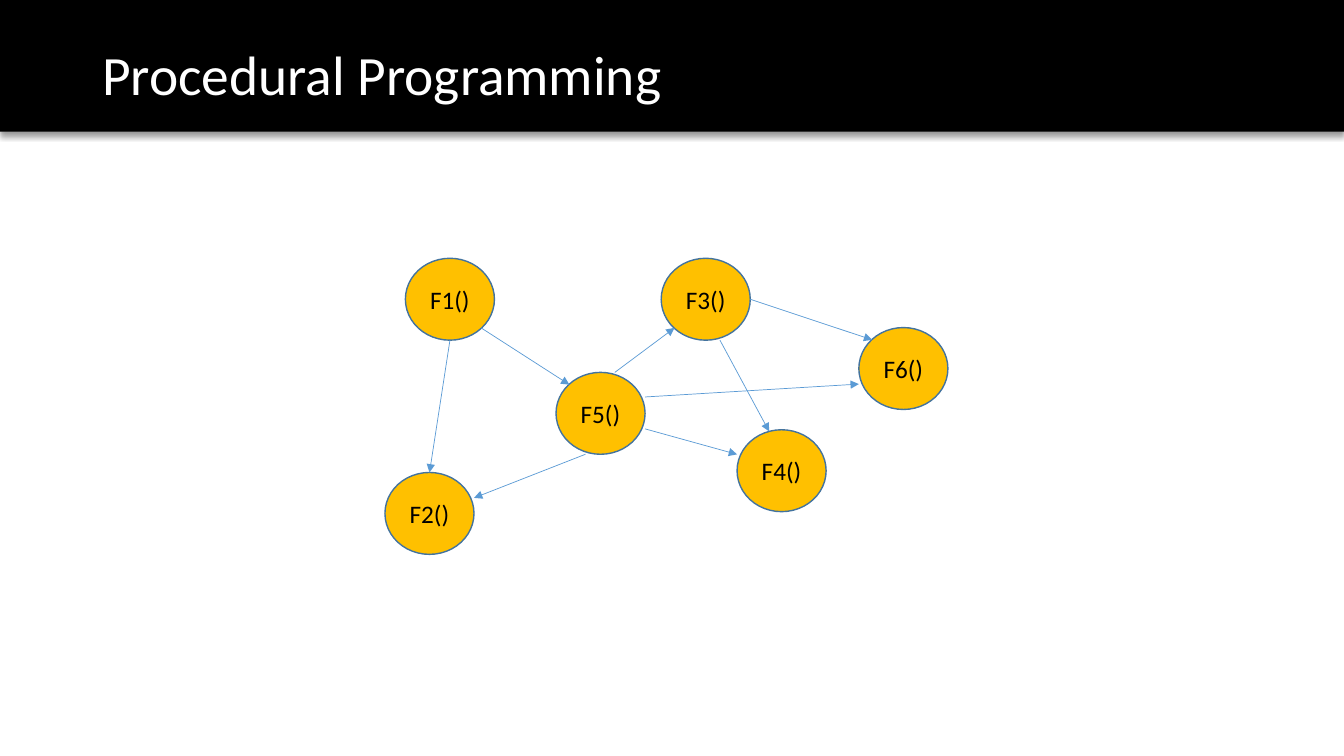
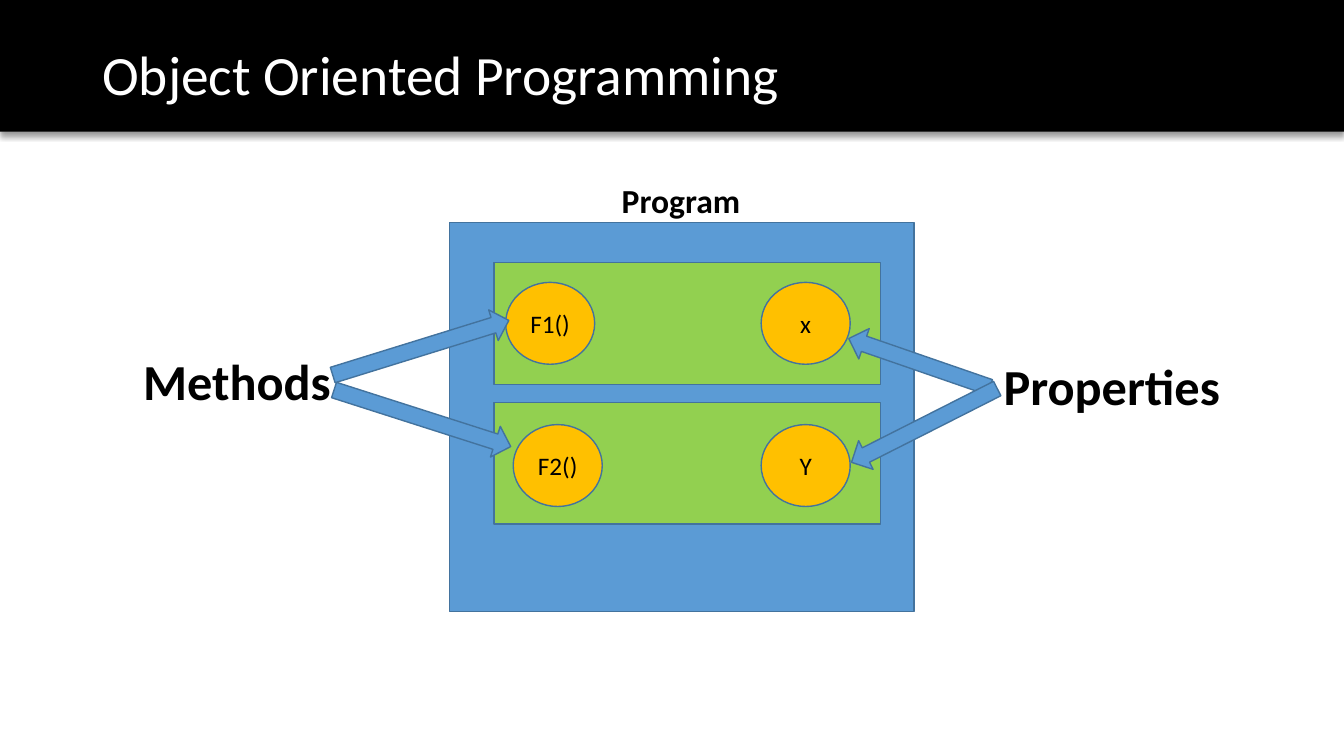
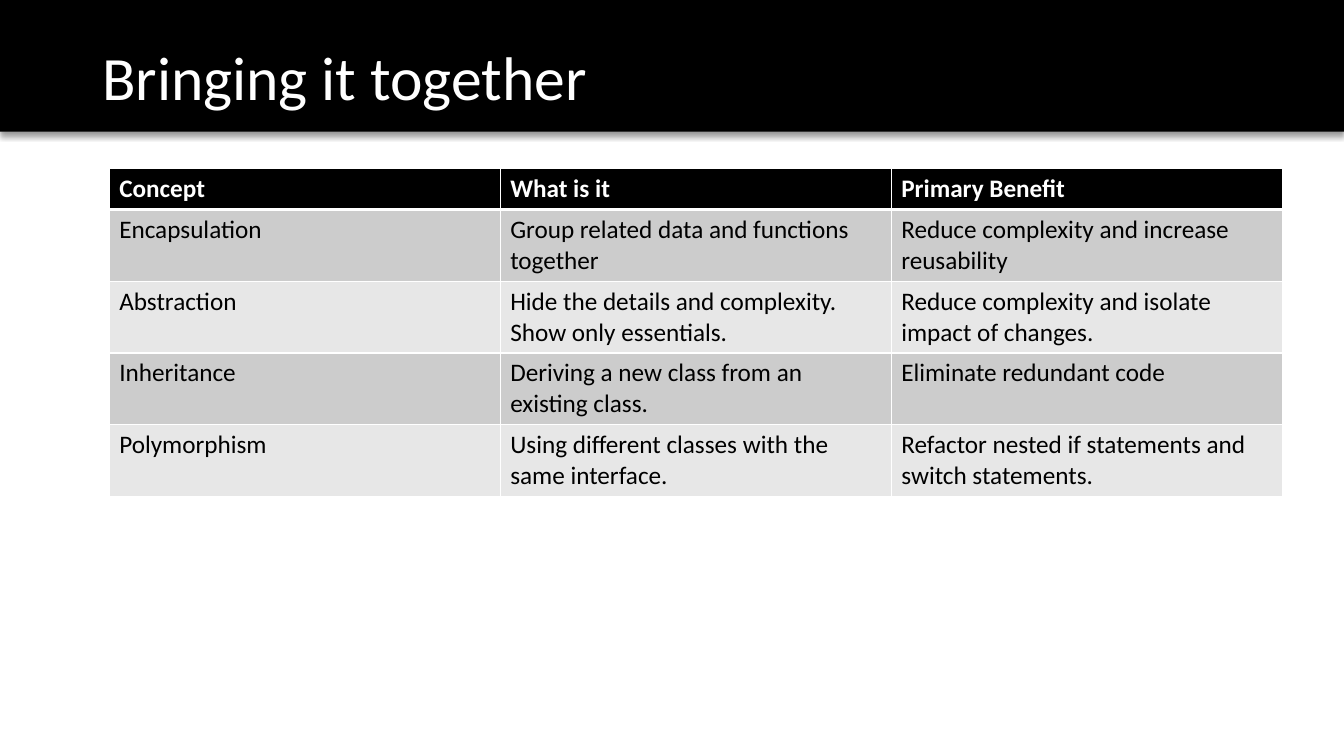
import math
from lxml import etree
from pptx import Presentation
from pptx import util as u
from pptx.dml.color import RGBColor
from pptx.enum import shapes, text
from pptx.oxml import ns

Pt = u.Pt
FONT = "Calibri"
HUE = {
    "black": "000000", "white": "FFFFFF", "gold": "FFC000", "green": "92D050",
    "blue": "5B9BD5", "edge": "43739E", "dark": "CCCCCC", "light": "E7E7E7",
}
WIDE, HIGH = 960, 540
DISC_W, DISC_H = 63.6, 58.5


def rgb(name):
    return RGBColor.from_string(HUE[name])


def node(up, tag, **attrs):
    return etree.SubElement(up, ns.qn(tag), attrs)


def tint(up, name):
    return node(node(up, "a:solidFill"), "a:srgbClr", val=HUE[name])


# Text
def write(frame, words, size, hue="black", bold=False, align=None):
    para = frame.paragraphs[0]
    para.alignment = align
    run = para.add_run()
    run.text = words
    font = run.font
    font.name, font.size, font.bold = FONT, Pt(size), bold
    font.color.rgb = rgb(hue)
    return para


def label(slide, x, y, w, h, words, size):
    frame = slide.shapes.add_textbox(Pt(x), Pt(y), Pt(w), Pt(h)).text_frame
    frame.word_wrap = False
    frame.auto_size = text.MSO_AUTO_SIZE.SHAPE_TO_FIT_TEXT
    write(frame, words, size, bold=True)


# Shapes
def block(slide, kind, x, y, w, h, fill, edge="edge"):
    shape = slide.shapes.add_shape(kind, Pt(x), Pt(y), Pt(w), Pt(h))
    shape.shadow.inherit = False
    shape.fill.solid()
    shape.fill.fore_color.rgb = rgb(fill)
    if edge:
        shape.line.color.rgb = rgb(edge)
        shape.line.width = Pt(1)
    else:
        shape.line.fill.background()
    return shape


def box(slide, x, y, w, h, fill, edge="edge"):
    return block(slide, shapes.MSO_SHAPE.RECTANGLE, x, y, w, h, fill, edge)


def disc(slide, x, y, words):
    shape = block(slide, shapes.MSO_SHAPE.OVAL, x, y, DISC_W, DISC_H, "gold")
    frame = shape.text_frame
    frame.word_wrap = False
    frame.vertical_anchor = text.MSO_ANCHOR.MIDDLE
    write(frame, words, 18, align=text.PP_ALIGN.CENTER)


def arrow(slide, tail, tip, thick=23):
    dx, dy = tip[0] - tail[0], tip[1] - tail[1]
    size = math.hypot(dx, dy)
    x = (tail[0] + tip[0] - size) / 2
    y = (tail[1] + tip[1] - thick) / 2
    shape = block(slide, shapes.MSO_SHAPE.RIGHT_ARROW, x, y, size, thick, "blue")
    shape.rotation = math.degrees(math.atan2(dy, dx)) % 360


def link(slide, start, end):
    line = slide.shapes.add_connector(
        shapes.MSO_CONNECTOR.STRAIGHT, *(Pt(v) for v in (*start, *end)))
    line.line.color.rgb = rgb("blue")
    line.line.width = Pt(0.5)
    node(line.line._get_or_add_ln(), "a:tailEnd", type="triangle")
    node(line._element.spPr, "a:effectLst")


# Shared band and title
def page(deck, title, size=39.6):
    slide = deck.slides.add_slide(deck.slide_layouts[6])
    band = box(slide, 0, 0, WIDE, 94, "black", None)
    glow = band._element.spPr.find(ns.qn("a:effectLst"))
    shade = node(glow, "a:outerShdw", blurRad=str(Pt(4)), dist=str(Pt(3)),
                 dir="5400000", algn="t", rotWithShape="0")
    hue = node(shade, "a:srgbClr", val=HUE["black"])
    node(hue, "a:alpha", val="40000")
    frame = slide.shapes.add_textbox(Pt(66), Pt(28.8), Pt(828), Pt(65.5)).text_frame
    frame.word_wrap = True
    frame.margin_top = Pt(5)
    write(frame, title, size, "white").line_spacing = 0.9
    return slide


# Table
def rule(cell, side, width):
    line = node(cell._tc.get_or_add_tcPr(), "a:" + side, w=str(Pt(width)))
    tint(line, "white")


def grid(slide, x, y, col, heights, rows):
    table = slide.shapes.add_table(
        len(rows), len(rows[0]), Pt(x), Pt(y),
        Pt(col * len(rows[0])), Pt(sum(heights))).table
    for column in table.columns:
        column.width = Pt(col)
    for i, row in enumerate(rows):
        table.rows[i].height = Pt(heights[i])
        head = i == 0
        fill = "black" if head else "dark" if i % 2 else "light"
        for j, words in enumerate(row):
            cell = table.cell(i, j)
            for side in ("lnL", "lnR", "lnT", "lnB"):
                thick = (head and side == "lnB") or (i == 1 and side == "lnT")
                rule(cell, side, 3 if thick else 1)
            cell.fill.solid()
            cell.fill.fore_color.rgb = rgb(fill)
            write(cell.text_frame, words, 18, "white" if head else "black", head)


# Slides
def calls(deck):
    slide = page(deck, "Procedural Programming")
    spots = {
        "F1": (289.6, 184.5), "F2": (275, 337.5), "F3": (472.3, 184.5),
        "F4": (526.5, 307), "F5": (397.2, 266), "F6": (613.5, 234),
    }
    for name, (x, y) in spots.items():
        disc(slide, x, y, name + "()")

    def at(name, across, down):
        x, y = spots[name]
        return x + across * DISC_W, y + down * DISC_H

    # Each end: disc, then share of its width and height
    for start, end in (
        (("F1", 0.5, 1), ("F2", 0.5, 0)),
        (("F1", 0.85, 0.85), ("F5", 0.15, 0.15)),
        (("F5", 0.33, 1), ("F2", 1, 0.31)),
        (("F5", 1, 0.69), ("F4", 0, 0.3)),
        (("F5", 0.66, 0), ("F3", 0.15, 0.85)),
        (("F5", 1, 0.3), ("F6", 0, 0.69)),
        (("F3", 0.66, 1), ("F4", 0.36, 0.02)),
        (("F3", 1, 0.5), ("F6", 0.15, 0.15)),
    ):
        link(slide, at(*start), at(*end))


def members(deck):
    slide = page(deck, "Object Oriented Programming")
    box(slide, 321, 158.7, 332, 278, "blue")
    for y in (187.7, 287.3):
        box(slide, 352.8, y, 276, 87, "green")
    for x, y, words in (
        (361.2, 201.7, "F1()"), (366.6, 303.3, "F2()"),
        (543.7, 201.7, "x"), (543.7, 303.3, "Y"),
    ):
        disc(slide, x, y, words)
    label(slide, 437, 125.3, 100, 36, "Program", 24)
    label(slide, 709.8, 250, 170.6, 51, "Properties", 36)
    label(slide, 95.2, 246.5, 150.4, 51, "Methods", 36)
    for tail, tip in (
        ((707, 276.6), (606.3, 241.8)), ((712.3, 277.5), (608.2, 330.2)),
        ((238.6, 278.6), (364.8, 319)), ((237.7, 267.9), (363.5, 228.9)),
    ):
        arrow(slide, tail, tip)


def recap(deck):
    slide = page(deck, "Bringing it together", 44)
    grid(slide, 78, 120.5, 279.3, [29.2] + [51.2] * 4, (
        ("Concept", "What is it", "Primary Benefit"),
        ("Encapsulation", "Group related data and functions together",
         "Reduce complexity and increase reusability"),
        ("Abstraction", "Hide the details and complexity. Show only essentials.",
         "Reduce complexity and isolate impact of changes."),
        ("Inheritance", "Deriving a new class from an existing class.",
         "Eliminate redundant code"),
        ("Polymorphism", "Using different classes with the same interface.",
         "Refactor nested if statements and switch statements."),
    ))


def main():
    deck = Presentation()
    deck.slide_width, deck.slide_height = Pt(WIDE), Pt(HIGH)
    calls(deck)
    members(deck)
    recap(deck)
    deck.save("out.pptx")


if __name__ == "__main__":
    main()
